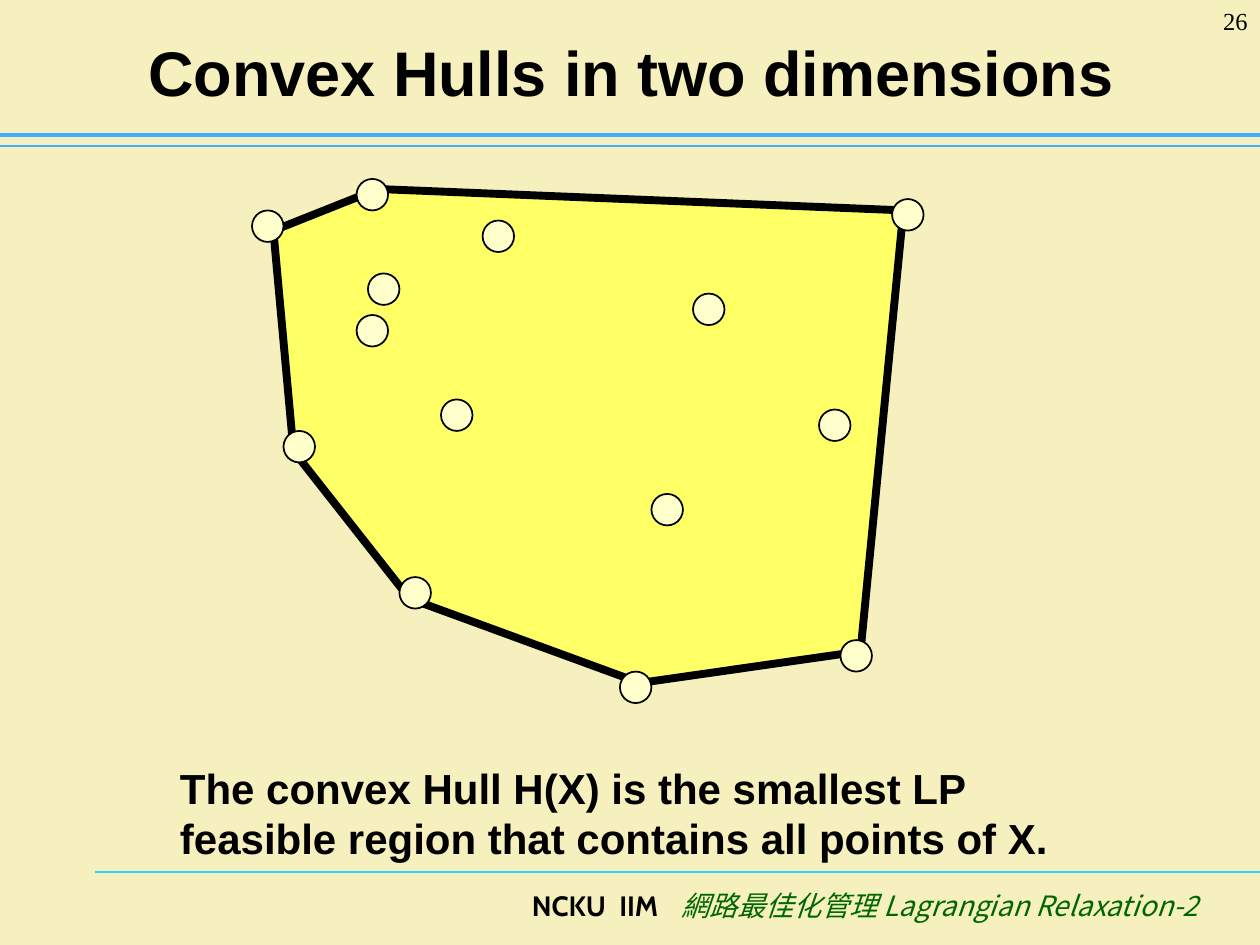
"""Builds a slide that shows the convex hull of a set of points."""
from lxml import etree
from pptx import Presentation
from pptx import util as u
from pptx.dml.color import RGBColor
from pptx.enum import shapes, text
from pptx.oxml.ns import qn

THEME = {
    "back": "F5F0BD", "ink": "000000", "green": "006600",
    "hull": "FFFF66", "dot": "FFFFCC", "rule": "3DB0FF", "thin": "33CCFF",
    "head": 36, "note": 24, "foot": 16, "page": 14,
    "sans": "Arial", "serif": "Times New Roman",
    "school": "Cabin", "course": "Noto Sans CJK SC",
}
TITLE = "Convex Hulls in two dimensions"
NOTE = ("The convex Hull H(X) is the smallest LP feasible region "
        "that contains all points of X.")
PAGE = "26"
FOOT = [("NCKU", "school", 0), (" ", "school", 4), ("IIM", "school", 0),
        (" ", "school", 10),
        ("網路最佳化管理 Lagrangian Relaxation-2", "course", 0)]
RULES = [(0.75, 6.92, "thin", 0.75), (0, 1.16, "rule", 0.75),
         (0, 1.07, "rule", 2.5)]
HULL = [(2.17, 1.83), (3, 1.5), (7.17, 1.67), (6.83, 5.17),
        (5.08, 5.42), (3.25, 4.75), (2.33, 3.58)]
DOTS = [(2, 1.67), (2.25, 3.42), (2.83, 1.42), (3.83, 1.75), (2.92, 2.17),
        (2.83, 2.5), (3.17, 4.58), (5.5, 2.33), (5.17, 3.92), (3.5, 3.17),
        (7.08, 1.58), (6.5, 3.25), (4.92, 5.33), (6.67, 5.08)]
DOT = 0.25


def tint(key):
    return RGBColor.from_string(THEME[key])


def style(font, face, size, color="ink", bold=False, slant=False):
    font.name, font.size = THEME[face], u.Pt(THEME[size])
    font.bold, font.italic = bold, slant
    font.color.rgb = tint(color)


def paint(shape, fill, width):
    shape.shadow.inherit = False
    shape.fill.solid()
    shape.fill.fore_color.rgb = tint(fill)
    shape.line.color.rgb = tint("ink")
    shape.line.width = u.Pt(width)


def add_box(slide, area, align):
    frame = slide.shapes.add_textbox(*map(u.Inches, area)).text_frame
    frame.word_wrap = True
    frame.paragraphs[0].alignment = align
    return frame.paragraphs[0]


def add_rule(slide, left, top, color, width):
    line = slide.shapes.add_connector(
        shapes.MSO_CONNECTOR.STRAIGHT, u.Inches(left), u.Inches(top),
        u.Inches(10), u.Inches(top))
    line.line.color.rgb = tint(color)
    line.line.width = u.Pt(width)
    etree.SubElement(line._element.spPr, qn("a:effectLst"))


def add_foot(slide):
    para = add_box(slide, (1.83, 7, 7.78, 0.5), text.PP_ALIGN.RIGHT)
    for words, face, gap in FOOT:
        run = para.add_run()
        run.text = words
        course = face == "course"
        style(run.font, face, "foot", "green" if course else "ink",
              not course, course)
        props = run._r.get_or_add_rPr()
        if gap:
            props.set("spc", str(gap * 100))
        etree.SubElement(props, qn("a:ea"), typeface=THEME["course"])


def add_title(slide):
    title = slide.shapes.title
    title.left, title.top, title.width, title.height = map(
        u.Inches, (0.51, 0.13, 9, 0.87))
    frame = title.text_frame
    frame.text = TITLE
    frame.vertical_anchor = text.MSO_ANCHOR.MIDDLE
    para = frame.paragraphs[0]
    para.alignment = text.PP_ALIGN.CENTER
    style(para.runs[0].font, "sans", "head", bold=True)


def add_hull(slide):
    first, *rest = [(u.Inches(x), u.Inches(y)) for x, y in HULL]
    pen = slide.shapes.build_freeform(*first)
    pen.add_line_segments(rest, close=True)
    paint(pen.convert_to_shape(), "hull", 4.5)
    for left, top in DOTS:
        dot = slide.shapes.add_shape(
            shapes.MSO_SHAPE.OVAL,
            *map(u.Inches, (left, top, DOT, DOT)))
        paint(dot, "dot", 1)


def main():
    deck = Presentation()
    deck.slide_width, deck.slide_height = u.Inches(10), u.Inches(7.5)
    slide = deck.slides.add_slide(deck.slide_layouts[5])
    slide.background.fill.solid()
    slide.background.fill.fore_color.rgb = tint("back")
    for rule in RULES:
        add_rule(slide, *rule)
    add_foot(slide)
    add_title(slide)
    add_hull(slide)
    note = add_box(slide, (1.33, 6, 7.42, 0.9), text.PP_ALIGN.LEFT)
    note.text = NOTE
    style(note.runs[0].font, "sans", "note", bold=True)
    page = add_box(slide, (9.17, 0, 0.83, 0.5), text.PP_ALIGN.RIGHT)
    page.text = PAGE
    style(page.runs[0].font, "serif", "page")
    deck.save("out.pptx")


if __name__ == "__main__":
    main()
